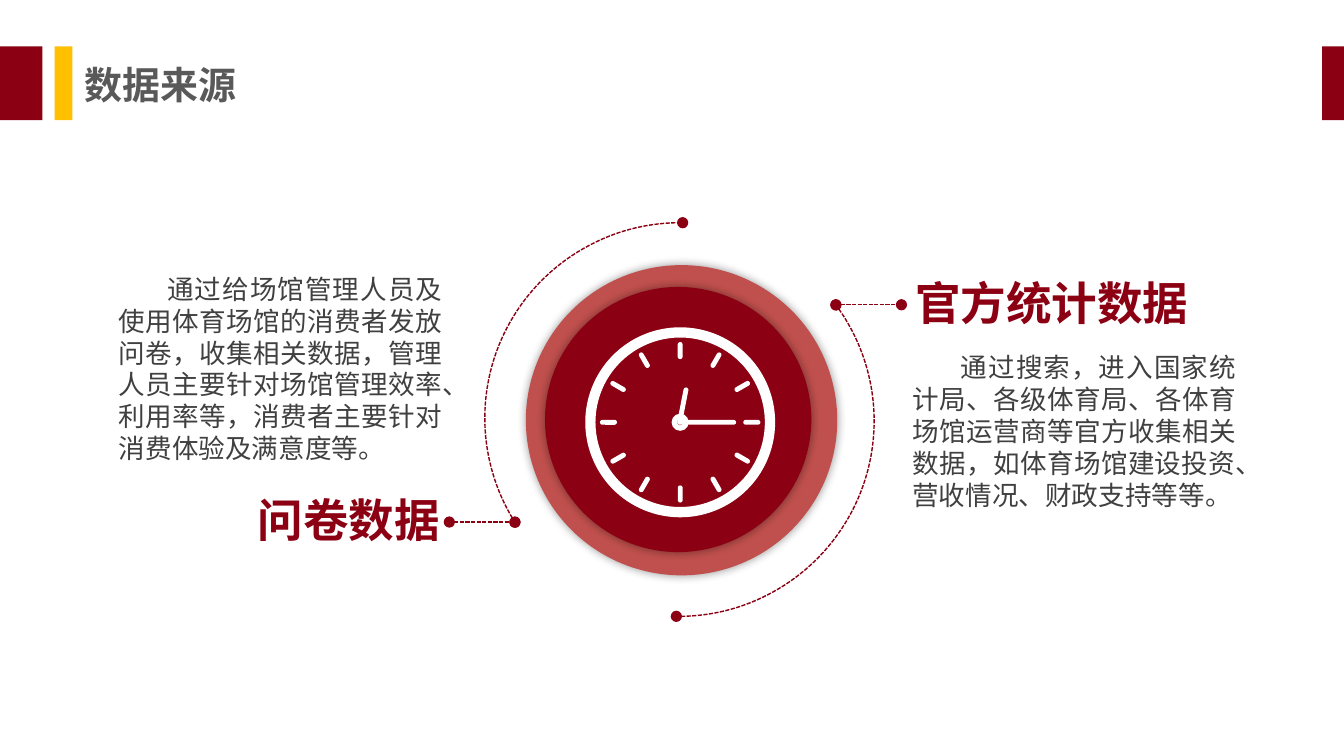
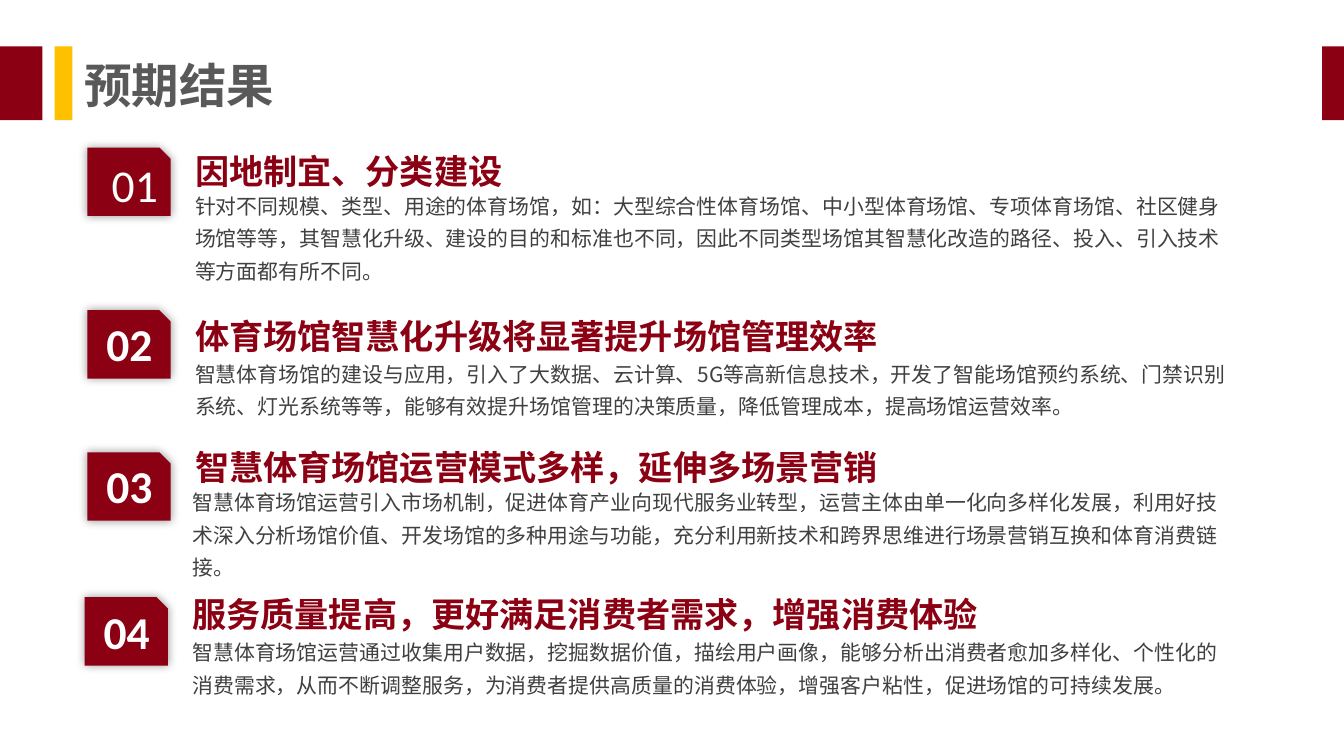
"""Builds two slides on the data sources and expected results of a sports venue study."""
from math import cos, radians, sin

from lxml.etree import SubElement
from pptx import Presentation
from pptx.dml.color import RGBColor as RGB
from pptx.enum.dml import MSO_LINE as Dash
from pptx.enum.shapes import MSO_CONNECTOR as Link, MSO_SHAPE as Kind
from pptx.enum.text import MSO_ANCHOR as Anchor, MSO_AUTO_SIZE as Fit, PP_ALIGN as Align
from pptx.oxml.ns import qn
from pptx.util import Inches, Pt

CELL = Inches(0.1)
COLS, ROWS = 98.4, 55.1
HUES = {"wine": "8B0012", "rose": "C0504D", "gold": "FFC000", "white": "FFFFFF",
        "gray": "595959", "ink": "404040", "black": "000000"}
HAN, LATIN = "Noto Sans CJK SC", "Calibri"
TIGHT, PLAIN = (0.7, 0.4), (1, 0.5)


def span(*cells):
    """Turn grid cells into slide lengths."""
    return [round(cell * CELL) for cell in cells]


def hue(name):
    """Look up a colour by name."""
    return RGB.from_string(HUES[name])


class Deck:
    """Holds the style and the current slide."""

    def __init__(self):
        """Open an empty deck of the grid's size."""
        self.prs = Presentation()
        self.prs.slide_width, self.prs.slide_height = span(COLS, ROWS)

    def page(self, title, size):
        """Start a slide with its bands and title."""
        self.slide = self.prs.slides.add_slide(self.prs.slide_layouts[6])
        for left, wide, color in ((0, 3.1, "wine"), (4, 1.3, "gold"), (COLS - 1.6, 1.6, "wine")):
            self.shape(Kind.RECTANGLE, (left, 3.4, wide, 5.4), color)
        self.text(title, (6.2, 4.1, 17.7, 4.2), size, "gray", bold=True, font=LATIN,
                  pad=(0, 0), anchor=Anchor.MIDDLE)

    def shape(self, kind, box, color=None, adj=(), turn=0, glow=False):
        """Draw a preset shape, filled or hollow."""
        item = self.slide.shapes.add_shape(kind, *span(*box))
        item.shadow.inherit = False
        item.rotation = turn
        for i, value in enumerate(adj):
            item.adjustments[i] = value
        item.line.fill.background()
        if color:
            item.fill.solid()
            item.fill.fore_color.rgb = hue(color)
        else:
            item.fill.background()
        if glow:
            list_ = item._element.spPr.find(qn("a:effectLst"))
            shade = SubElement(list_, qn("a:outerShdw"), blurRad=str(Pt(5)), dist="0",
                               dir="0", algn="ctr", rotWithShape="0")
            tint = SubElement(shade, qn("a:srgbClr"), val=HUES["black"])
            SubElement(tint, qn("a:alpha"), val="40000")
        return item

    def dots(self, item):
        """Give an item a dashed line with round ends."""
        line = item.line
        line.color.rgb = hue("wine")
        line.width = Pt(0.75)
        line.dash_style = Dash.SQUARE_DOT
        for end in ("a:headEnd", "a:tailEnd"):
            SubElement(item._element.spPr.find(qn("a:ln")), qn(end), type="oval")

    def arc(self, box, start, stop, turn=0):
        """Draw a dashed arc between two angles."""
        self.dots(self.shape(Kind.ARC, box, adj=(start * 0.6, stop * 0.6), turn=turn))

    def rule(self, left, top, wide):
        """Draw a dashed level line."""
        item = self.slide.shapes.add_connector(
            Link.STRAIGHT, *span(left, top, left + wide, top))
        self.dots(item)
        SubElement(item._element.spPr, qn("a:effectLst"))

    def disc(self, box, color):
        """Draw a round plate with a soft shadow."""
        self.shape(Kind.OVAL, box, color, glow=True)

    def ring(self, mid, wide, band):
        """Draw a white ring about a point."""
        box = (mid[0] - wide / 2, mid[1] - wide / 2, wide, wide)
        self.shape(Kind.DONUT, box, "white", adj=(band / wide,))

    def bar(self, mid, wide, turn=0):
        """Draw a white round-ended bar about a point."""
        box = (mid[0] - wide / 2, mid[1] - 0.18, wide, 0.36)
        self.shape(Kind.ROUNDED_RECTANGLE, box, "white", adj=(0.5,), turn=turn)

    def clock(self, x, y):
        """Draw a clock face about a point."""
        self.ring((x, y), 13.9, 0.75)
        for turn in range(0, 360, 30):
            way = radians(turn)
            self.bar((x + 5.25 * cos(way), y + 5.25 * sin(way)), 1.25, turn)
        self.ring((x, y), 1.25, 0.4)
        self.bar((x + 0.2, y - 1.2), 2.75, -79)
        self.bar((x + 1.95, y), 4.3)

    def text(self, words, box, size, color, bold=False, font=HAN, pad=PLAIN,
             anchor=Anchor.TOP, align=Align.LEFT, lead=None, dent=0, wrap=True):
        """Place one paragraph of text."""
        frame = self.slide.shapes.add_textbox(*span(*box)).text_frame
        frame.word_wrap = wrap
        frame.auto_size = Fit.SHAPE_TO_FIT_TEXT
        frame.vertical_anchor = anchor
        frame.margin_left = frame.margin_right = span(pad[0])[0]
        frame.margin_top = frame.margin_bottom = span(pad[1])[0]
        para = frame.paragraphs[0]
        para.text = words
        para.alignment = align
        if lead:
            para.line_spacing = lead
        if dent:
            para._p.get_or_add_pPr().set("indent", str(span(dent)[0]))
        face = para.font
        face.size, face.bold = Pt(size), bold
        face.color.rgb = hue(color)
        face.name = font
        SubElement(face._element, qn("a:ea"), typeface=HAN)

    def label(self, words, left, top, align):
        """Place the heading of a data source."""
        self.text(words, (left, top, 22.8, 4.8), 24, "wine", bold=True, pad=TIGHT,
                  anchor=Anchor.MIDDLE, align=align)

    def prose(self, words, left, top, high):
        """Place the indented text of a data source."""
        self.text(words, (left, top, 25.1, high), 14, "ink", pad=TIGHT,
                  anchor=Anchor.MIDDLE, align=Align.JUSTIFY, dent=3.55)

    def badge(self, mark, left, top, shift, bold):
        """Draw a numbered tag with a cut corner."""
        self.shape(Kind.SNIP_1_RECTANGLE, (left, top, 6.1, 5), "wine", glow=True)
        self.text(mark, (left + shift[0], top + shift[1], 5.6, 5), 24, "white",
                  bold=bold, font=LATIN)

    def point(self, head, body, spot, tops, high):
        """Place the heading and text of a result."""
        self.text(head, (spot[0], tops[0], 60.5, 4.4), 18, "wine", bold=True, lead=1.3)
        self.text(body, (spot[1], tops[1], 78, high), 11, "ink", lead=1.3)


RESULTS = (
    ("因地制宜、分类建设",
     "针对不同规模、类型、用途的体育场馆，如：大型综合性体育场馆、中小型体育场馆、专项体育场馆、社区健身场馆等等，"
     "其智慧化升级、建设的目的和标准也不同，因此不同类型场馆其智慧化改造的路径、投入、引入技术等方面都有所不同。",
     6.4, 10.8, (0.8, 0.2), (13.3, 13.3), (9.6, 13.1), 8),
    ("体育场馆智慧化升级将显著提升场馆管理效率",
     "智慧体育场馆的建设与应用，引入了大数据、云计算、5G等高新信息技术，开发了智能场馆预约系统、门禁识别系统、"
     "灯光系统等等，能够有效提升场馆管理的决策质量，降低管理成本，提高场馆运营效率。",
     6.4, 22.7, (0.4, -0.1), (13.3, 13.3), (21.7, 25.4), 5.6),
    ("智慧体育场馆运营模式多样，延伸多场景营销",
     "智慧体育场馆运营引入市场机制，促进体育产业向现代服务业转型，运营主体由单一化向多样化发展，利用好技术深入分析"
     "场馆价值、开发场馆的多种用途与功能，充分利用新技术和跨界思维进行场景营销互换和体育消费链接。",
     6.4, 33.1, (0.4, -0.1), (13.3, 13.1), (31.3, 34.8), 8),
    ("服务质量提高，更好满足消费者需求，增强消费体验",
     "智慧体育场馆运营通过收集用户数据，挖掘数据价值，描绘用户画像，能够分析出消费者愈加多样化、个性化的消费需求，"
     "从而不断调整服务，为消费者提供高质量的消费体验，增强客户粘性，促进场馆的可持续发展。",
     6.2, 43.7, (0.4, 0), (13.1, 13.1), (42, 45.8), 5.6),
)


def sources(deck):
    """Build the slide on data sources."""
    deck.page("数据来源", 20)
    deck.arc((35.5, 16.3, 28.7, 28.6), 147.88, 270.53)
    deck.arc((35.3, 16.5, 28.7, 28.6), 143.72, 270.53, turn=180)
    deck.rule(61.2, 22.3, 4.8)
    deck.rule(32.9, 38.2, 4.8)
    deck.disc((38.5, 19.4, 22.8, 22.7), "rose")
    deck.disc((39.9, 21, 19.5, 19.4), "wine")
    deck.clock(49.8, 30.9)
    deck.label("问卷数据", 10.1, 35.6, Align.RIGHT)
    deck.label("官方统计数据", 66.3, 19.7, Align.LEFT)
    deck.prose("通过给场馆管理人员及使用体育场馆的消费者发放问卷，收集相关数据，管理人员主要针对场馆管理效率、"
               "利用率等，消费者主要针对消费体验及满意度等。", 8, 19.5, 14.9)
    deck.prose("通过搜索，进入国家统计局、各级体育局、各体育场馆运营商等官方收集相关数据，如体育场馆建设投资、"
               "营收情况、财政支持等等。", 66.1, 25.3, 12.5)


def results(deck):
    """Build the slide on expected results."""
    deck.page("预期结果", 25)
    for i, (head, body, left, top, shift, spot, tops, high) in enumerate(RESULTS, 1):
        deck.badge(f"{i:02}", left, top, shift, bold=i > 1)
        deck.point(head, body, spot, tops, high)


def main():
    """Build and save the deck."""
    deck = Deck()
    sources(deck)
    results(deck)
    deck.prs.save("out.pptx")


if __name__ == "__main__":
    main()
